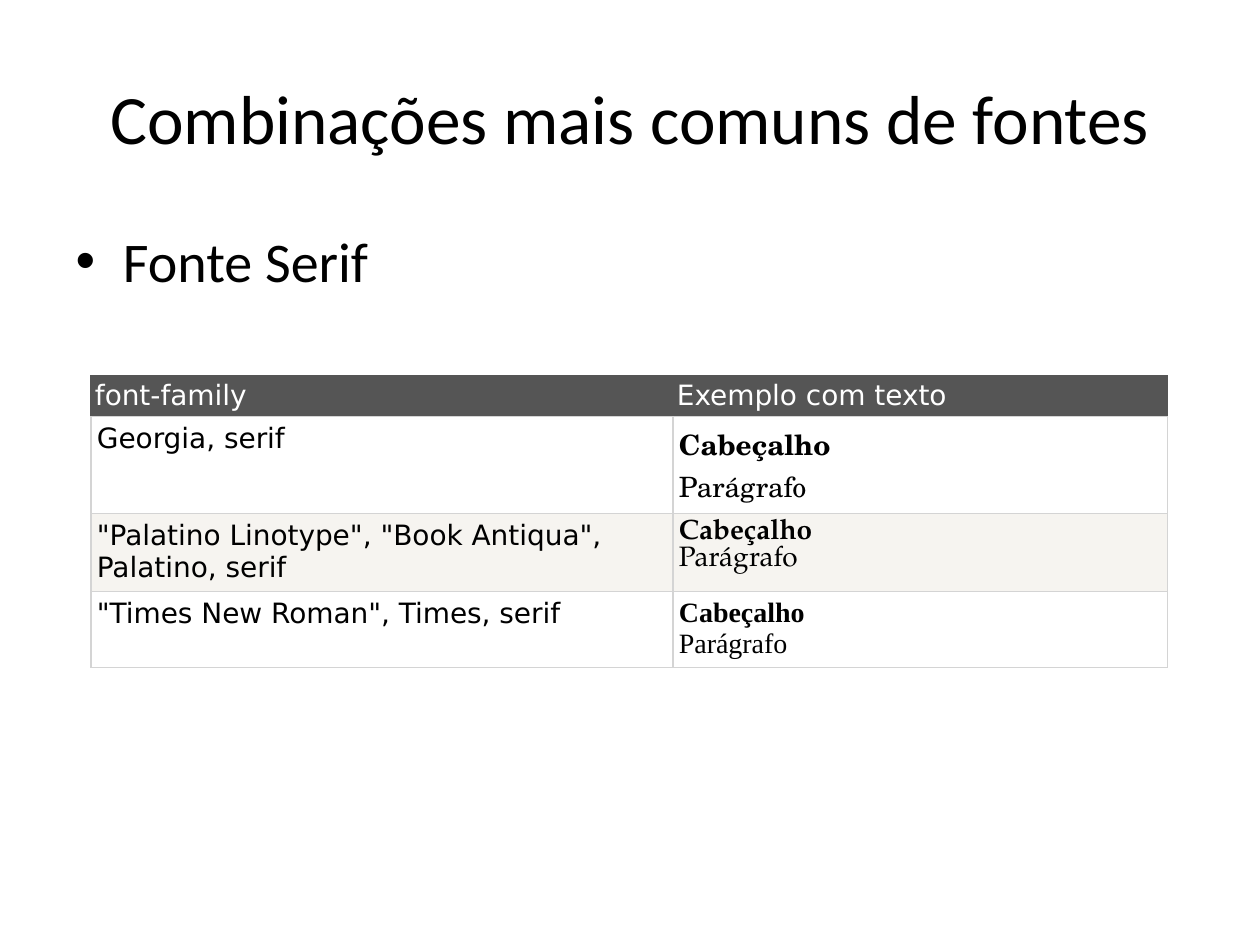
from dataclasses import dataclass

from lxml.etree import SubElement
from pptx import Presentation
from pptx.dml.color import RGBColor as Rgb
from pptx.enum.text import MSO_AUTO_SIZE as AutoSize, MSO_ANCHOR as Anchor, PP_ALIGN as Align
from pptx.oxml.ns import qn
from pptx.util import Pt

SCALE = 914400 / 126


@dataclass(frozen=True)
class Theme:
    ink: str = "000000"
    paper: str = "FFFFFF"
    header: str = "555555"
    band: str = "F6F4F0"
    rule: str = "D4D4D4"
    text_font: str = "Calibri"
    table_font: str = "DejaVu Sans"
    title_size: float = 39.6
    body_size: float = 32
    table_size: float = 16
    rule_width: float = 0.75


THEME = Theme()
COLUMNS = (582, 495)
ROWS = (40, 97, 78, 76)
HEADINGS = ("font-family", "Exemplo com texto")
FAMILIES = (
    ("Georgia, serif", "TeX Gyre Schola"),
    ('"Palatino Linotype", "Book Antiqua", Palatino, serif', "TeX Gyre Pagella"),
    ('"Times New Roman", Times, serif', "Times New Roman"),
)


def px(length):
    return round(length * SCALE)


def style(paragraph, font_name, size, color, bold=False):
    for run in paragraph.runs:
        run.font.name = font_name
        run.font.size = Pt(size)
        run.font.color.rgb = Rgb.from_string(color)
        run.font.bold = bold


def fill_placeholder(placeholder, box, text, size):
    placeholder.left, placeholder.top, placeholder.width, placeholder.height = map(px, box)
    frame = placeholder.text_frame
    frame.text = text
    frame.auto_size = AutoSize.NONE
    style(frame.paragraphs[0], THEME.text_font, size, THEME.ink)
    return frame


def add_title(slide, box):
    frame = fill_placeholder(slide.shapes.title, box, "Combinações mais comuns de fontes", THEME.title_size)
    frame.vertical_anchor = Anchor.MIDDLE
    frame.paragraphs[0].alignment = Align.CENTER


def add_topic(slide, box):
    fill_placeholder(slide.placeholders[1], box, "Fonte Serif", THEME.body_size)


def set_borders(cell, colors):
    properties = cell._tc.get_or_add_tcPr()
    for position, (side, color) in enumerate(zip(("lnL", "lnR", "lnT", "lnB"), colors)):
        line = SubElement(properties, qn(f"a:{side}"), w=str(Pt(THEME.rule_width)))
        SubElement(SubElement(line, qn("a:solidFill")), qn("a:srgbClr"), val=color)
        properties.insert(position, line)


def fill_cell(cell, text, margin, background, borders):
    cell.margin_left = cell.margin_right = cell.margin_top = cell.margin_bottom = px(margin)
    cell.fill.solid()
    cell.fill.fore_color.rgb = Rgb.from_string(background)
    set_borders(cell, borders)
    cell.text_frame.text = text
    return cell.text_frame.paragraphs


def add_font_table(slide, left, top):
    frame = slide.shapes.add_table(
        len(ROWS), len(COLUMNS), px(left), px(top), px(sum(COLUMNS)), px(sum(ROWS)))
    table = frame.table
    for column, width in zip(table.columns, COLUMNS):
        column.width = px(width)
    for row, height in zip(table.rows, ROWS):
        row.height = px(height)

    header_borders = (THEME.header,) * 3 + (THEME.rule,)
    for column, heading in enumerate(HEADINGS):
        paragraphs = fill_cell(table.cell(0, column), heading, 4, THEME.header, header_borders)
        style(paragraphs[0], THEME.table_font, THEME.table_size, THEME.paper)

    for row, (family, sample_font) in enumerate(FAMILIES, start=1):
        background = THEME.paper if row % 2 else THEME.band
        borders = (THEME.rule,) * 4
        names = fill_cell(table.cell(row, 0), family, 6, background, borders)
        style(names[0], THEME.table_font, THEME.table_size, THEME.ink)
        heading, sample = fill_cell(table.cell(row, 1), "Cabeçalho\nParágrafo", 6, background, borders)
        style(heading, sample_font, THEME.table_size, THEME.ink, bold=True)
        style(sample, sample_font, THEME.table_size, THEME.ink)


def main():
    presentation = Presentation()
    presentation.slide_width, presentation.slide_height = px(1260), px(945)
    slide = presentation.slides.add_slide(presentation.slide_layouts[1])
    add_title(slide, (63, 38, 1134, 157))
    add_topic(slide, (63, 220, 1134, 624))
    add_font_table(slide, 91, 376)
    presentation.save("out.pptx")


if __name__ == "__main__":
    main()
